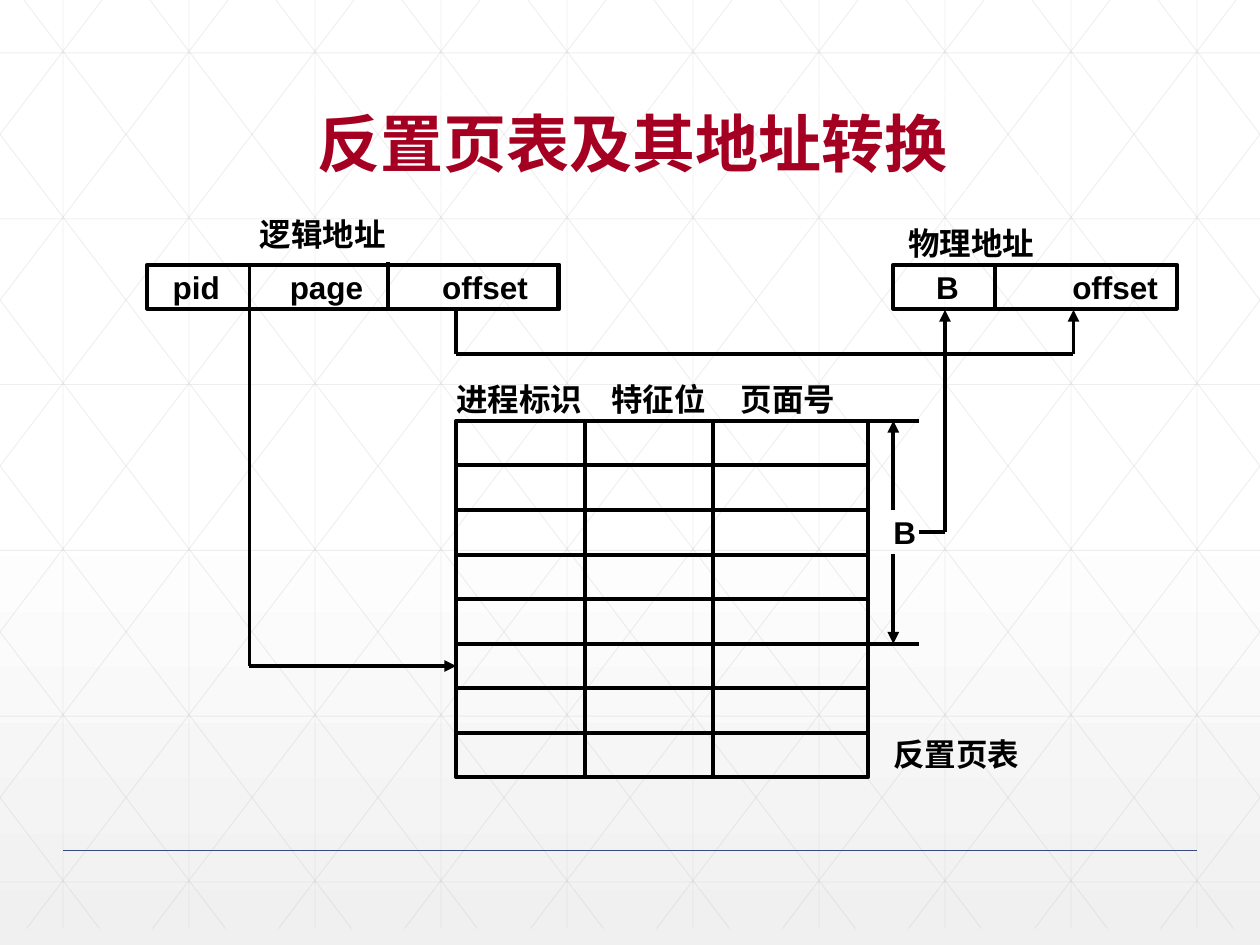
from typing import NamedTuple

from lxml import etree
from pptx import Presentation
from pptx import util as u
from pptx.dml.color import RGBColor
from pptx.enum import shapes, text
from pptx.oxml.ns import qn

BLACK = RGBColor(0x00, 0x00, 0x00)
WHITE = RGBColor(0xFF, 0xFF, 0xFF)
PALE_GREY = RGBColor(0xF0, 0xF0, 0xF0)
PATTERN_GREY = RGBColor(0xBF, 0xBF, 0xBF)
RULE_BLUE = RGBColor(0x38, 0x4C, 0x81)
TITLE_RED = RGBColor(0xA5, 0x00, 0x21)

PAGE_WIDTH, PATTERN_HEIGHT = 10, 7.37
BOX_HEIGHT = 0.35
ADDRESS_TOP, ADDRESS_BOTTOM = 2.1, 2.46
TABLE_LEFT, TABLE_TOP, TABLE_WIDTH, TABLE_HEIGHT = 3.62, 3.34, 3.27, 2.83
TABLE_RIGHT = TABLE_LEFT + TABLE_WIDTH
TABLE_BOTTOM = TABLE_TOP + TABLE_HEIGHT
ROWS = 8
ROW_HEIGHT = TABLE_HEIGHT / ROWS
ENTRY_Y = TABLE_TOP + 5 * ROW_HEIGHT
HIT_Y = ENTRY_Y + ROW_HEIGHT / 2
BRACKET_X, BRACKET_END = 7.09, 7.29
FRAME_X, PID_X = 7.5, 1.98
OFFSET_X, OFFSET_TARGET_X, OFFSET_Y = 3.62, 8.52, 2.81


class Line(NamedTuple):
    x1: float
    y1: float
    x2: float
    y2: float
    arrow: bool = False


class Label(NamedTuple):
    """Text fields side by side; the stops are inches from the left edge."""
    left: float
    top: float
    width: float
    fields: tuple[str, ...]
    stops: tuple[float, ...] = ()
    framed: bool = False


LABELS = [
    Label(1.17, ADDRESS_TOP, 3.27, ("", "pid", "page", "offset"), (0.2, 1.13, 2.34), True),
    Label(7.09, ADDRESS_TOP, 2.25, ("", "B", "offset"), (0.34, 1.42), True),
    Label(2.06, 1.68, 1.02, ("逻辑地址",)),
    Label(7.21, 1.75, 1.02, ("物理地址",)),
    Label(TABLE_LEFT, 2.99, TABLE_WIDTH, ("进程标识", "特征位", "页面号"), (1.23, 2.26)),
    Label(BRACKET_X, 4.05, 0.2, ("B",)),
    Label(BRACKET_X, 5.81, 1.02, ("反置页表",)),
]

ADDRESS_DIVIDERS = [
    Line(PID_X, ADDRESS_TOP, PID_X, ADDRESS_BOTTOM),
    Line(3.08, 2.08, 3.08, 2.44),
    Line(4.43, ADDRESS_TOP, 4.43, ADDRESS_BOTTOM),
    Line(7.9, ADDRESS_TOP, 7.9, ADDRESS_BOTTOM),
]

TABLE_GRID = [
    Line(x, TABLE_TOP, x, TABLE_BOTTOM) for x in (4.64, 5.66)
] + [
    Line(TABLE_LEFT, TABLE_TOP + row * ROW_HEIGHT, TABLE_RIGHT, TABLE_TOP + row * ROW_HEIGHT)
    for row in range(1, ROWS)
]

FLOW = [
    Line(PID_X, ADDRESS_BOTTOM, PID_X, HIT_Y),
    Line(PID_X, HIT_Y, TABLE_LEFT, HIT_Y, True),
    Line(OFFSET_X, ADDRESS_BOTTOM, OFFSET_X, OFFSET_Y),
    Line(OFFSET_X, OFFSET_Y, OFFSET_TARGET_X, OFFSET_Y),
    Line(OFFSET_TARGET_X, OFFSET_Y, OFFSET_TARGET_X, ADDRESS_BOTTOM, True),
    Line(TABLE_RIGHT, TABLE_TOP, BRACKET_END, TABLE_TOP),
    Line(TABLE_RIGHT, ENTRY_Y, BRACKET_END, ENTRY_Y),
    Line(BRACKET_X, 4.05, BRACKET_X, TABLE_TOP, True),
    Line(BRACKET_X, 4.4, BRACKET_X, ENTRY_Y, True),
    Line(BRACKET_END, 4.22, FRAME_X, 4.22),
    Line(FRAME_X, 4.22, FRAME_X, ADDRESS_BOTTOM, True),
]


def pattern_lines() -> list[Line]:
    """Upright, level and mirrored slanting lines, clipped to the page sides."""
    lines = [Line(i + 0.5, 0, i + 0.5, PATTERN_HEIGHT) for i in range(10)]
    levels = [0.42 + 1.316 * i for i in range(6)]
    lines += [Line(0, y, PAGE_WIDTH, y) for y in levels]
    run = 5.6
    slope = PATTERN_HEIGHT / run
    for i in range(-5, 10):
        start = i + 0.19
        x1, x2 = max(start, 0), min(start + run, PAGE_WIDTH)
        y1, y2 = (x1 - start) * slope, (x2 - start) * slope
        lines.append(Line(x1, y1, x2, y2))
        lines.append(Line(PAGE_WIDTH - x1, y1, PAGE_WIDTH - x2, y2))
    return lines


def draw_line(page, line: Line, color: RGBColor = BLACK, points: float = 2.25,
              opacity: int = 100) -> None:
    connector = page.shapes.add_connector(
        shapes.MSO_CONNECTOR.STRAIGHT, u.Inches(line.x1), u.Inches(line.y1),
        u.Inches(line.x2), u.Inches(line.y2))
    connector.line.color.rgb = color
    connector.line.width = u.Pt(points)
    properties = connector.element.spPr
    outline = properties.find(qn("a:ln"))
    if opacity < 100:
        color_element = outline.find(".//" + qn("a:srgbClr"))
        etree.SubElement(color_element, qn("a:alpha"), val=str(opacity * 1000))
    if line.arrow:
        etree.SubElement(outline, qn("a:tailEnd"), type="triangle")
    etree.SubElement(properties, qn("a:effectLst"))


def draw_frame(page, left: float, top: float, width: float, height: float):
    frame = page.shapes.add_shape(
        shapes.MSO_SHAPE.RECTANGLE, u.Inches(left), u.Inches(top),
        u.Inches(width), u.Inches(height))
    frame.shadow.inherit = False
    frame.fill.background()
    frame.line.color.rgb = BLACK
    frame.line.width = u.Pt(2.25)
    return frame


def add_run(para, words: str, points: float, color: RGBColor) -> None:
    span = para.add_run()
    span.text = words
    span.font.name = "Arial"
    span.font.size = u.Pt(points)
    span.font.bold = True
    span.font.color.rgb = color


def draw_label(page, label: Label) -> None:
    area = (label.left, label.top, label.width, BOX_HEIGHT)
    if label.framed:
        box = draw_frame(page, *area)
    else:
        box = page.shapes.add_textbox(*map(u.Inches, area))
    frame = box.text_frame
    frame.margin_left = frame.margin_right = frame.margin_top = frame.margin_bottom = 0
    frame.word_wrap = label.framed
    frame.vertical_anchor = text.MSO_ANCHOR.MIDDLE
    para = frame.paragraphs[0]
    para.alignment = text.PP_ALIGN.LEFT
    if label.stops:
        tabs = etree.SubElement(para._p.get_or_add_pPr(), qn("a:tabLst"))
        for stop in label.stops:
            etree.SubElement(tabs, qn("a:tab"), pos=str(u.Inches(stop)), algn="l")
    add_run(para, "\t".join(label.fields), 18, BLACK)


def paint_background(page) -> None:
    fill = page.background.fill
    fill.gradient()
    fill.gradient_angle = 270
    for stop, position, color in zip(fill.gradient_stops, (0.53, 1), (WHITE, PALE_GREY)):
        stop.position = position
        stop.color.rgb = color


def place_title(page) -> None:
    title = page.shapes.title
    title.left, title.top = u.Inches(2.42), u.Inches(0.75)
    title.width, title.height = u.Inches(5.83), u.Inches(0.76)
    title.line.color.rgb = WHITE
    title.line.width = u.Pt(0.75)
    frame = title.text_frame
    frame.auto_size = text.MSO_AUTO_SIZE.NONE
    frame.vertical_anchor = text.MSO_ANCHOR.MIDDLE
    para = frame.paragraphs[0]
    para.alignment = text.PP_ALIGN.LEFT
    add_run(para, "反置页表及其地址转换", 36, TITLE_RED)
    title.element.getparent().append(title.element)  # in front of the pattern


def main() -> None:
    deck = Presentation()
    deck.slide_width, deck.slide_height = u.Inches(PAGE_WIDTH), u.Inches(7.5)
    page = deck.slides.add_slide(deck.slide_layouts[5])
    paint_background(page)
    for line in pattern_lines():
        draw_line(page, line, PATTERN_GREY, 0.5, 25)
    draw_line(page, Line(0.5, 6.75, 9.5, 6.75), RULE_BLUE, 1)
    draw_frame(page, TABLE_LEFT, TABLE_TOP, TABLE_WIDTH, TABLE_HEIGHT)
    for label in LABELS:
        draw_label(page, label)
    for line in ADDRESS_DIVIDERS + TABLE_GRID + FLOW:
        draw_line(page, line)
    place_title(page)
    deck.save("out.pptx")


if __name__ == "__main__":
    main()
